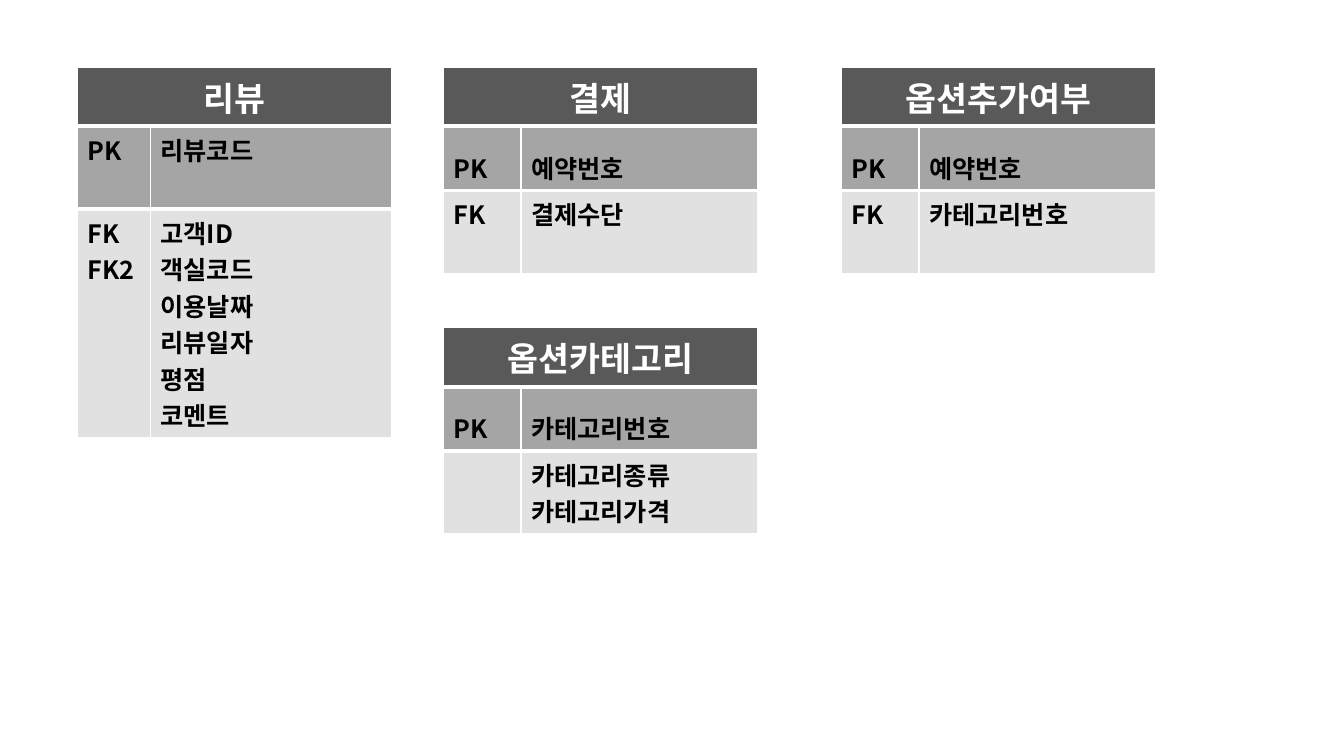
from lxml import etree
from pptx import Presentation
from pptx.dml.color import RGBColor
from pptx.enum import text
from pptx.oxml import ns
from pptx.util import Cm, Pt

FONT = "Noto Sans CJK KR"
WHITE = RGBColor(0xFF, 0xFF, 0xFF)
BLACK = RGBColor(0, 0, 0)
DARK = RGBColor(0x59, 0x59, 0x59)
MID = RGBColor(0xA5, 0xA5, 0xA5)
LIGHT = RGBColor(0xE1, 0xE1, 0xE1)

WIDTH = 7.9
HEADER_HEIGHT = 1.47
ENTITIES = [
    dict(left=1.96, top=1.7, name="리뷰", key_width=1.83, heights=(2.1, 5.77), key_spacing=1,
         rows=[("PK", "리뷰코드"),
               ("FK\nFK2", "고객ID\n객실코드\n이용날짜\n리뷰일자\n평점\n코멘트")]),
    dict(left=11.18, top=1.7, name="결제",
         rows=[("PK", "예약번호"), ("FK", "결제수단")]),
    dict(left=21.21, top=1.7, name="옵션추가여부",
         rows=[("PK", "예약번호"), ("FK", "카테고리번호")]),
    dict(left=11.18, top=8.26, name="옵션카테고리",
         rows=[("PK", "카테고리번호"), ("", "카테고리종류\n카테고리가격")]),
]


def add_borders(cell, top, bottom):
    tc_pr = cell._tc.get_or_add_tcPr()
    for side, width in (("L", 1), ("R", 1), ("T", top), ("B", bottom)):
        ln = etree.SubElement(tc_pr, ns.qn("a:ln" + side), w=str(Pt(width)))
        fill = etree.SubElement(ln, ns.qn("a:solidFill"))
        etree.SubElement(fill, ns.qn("a:srgbClr"), val=str(WHITE))


def format_paragraph(p, size, color, align, spacing):
    p.alignment = align
    p.line_spacing = spacing
    p.font.size = Pt(size)
    p.font.bold = True
    p.font.color.rgb = color
    p.font.name = FONT
    latin = p._p.pPr.find(".//" + ns.qn("a:latin"))
    latin.addnext(latin.makeelement(ns.qn("a:ea"), typeface=FONT))


def fill_cell(cell, content, fill, size=18, color=BLACK, align=text.PP_ALIGN.LEFT,
              spacing=1, top=1, bottom=1):
    add_borders(cell, top, bottom)
    cell.fill.solid()
    cell.fill.fore_color.rgb = fill
    cell.text = content
    for p in cell.text_frame.paragraphs:
        format_paragraph(p, size, color, align, spacing)


def add_grid(slide, left, top, widths, heights):
    frame = slide.shapes.add_table(len(heights), len(widths), Cm(left), Cm(top),
                                   Cm(sum(widths)), Cm(sum(heights)))
    table = frame.table
    table.first_row = table.horz_banding = False
    for column, width in zip(table.columns, widths):
        column.width = Cm(width)
    for row, height in zip(table.rows, heights):
        row.height = Cm(height)
    return table


def add_entity(slide, left, top, name, rows, key_width=1.95, heights=(1.55, 2.08),
               key_spacing=1.5):
    body = add_grid(slide, left, top + HEADER_HEIGHT, (key_width, WIDTH - key_width), heights)
    for column in range(2):
        fill_cell(body.cell(0, column), rows[0][column], MID, spacing=key_spacing, bottom=3)
        fill_cell(body.cell(1, column), rows[1][column], LIGHT, top=3)
    header = add_grid(slide, left, top, (WIDTH,), (HEADER_HEIGHT,))
    fill_cell(header.cell(0, 0), name, DARK, size=24, color=WHITE,
              align=text.PP_ALIGN.CENTER, bottom=3)


def main():
    prs = Presentation()
    prs.slide_width, prs.slide_height = Cm(33.87), Cm(19.05)
    slide = prs.slides.add_slide(prs.slide_layouts[6])
    for entity in ENTITIES:
        add_entity(slide, **entity)
    prs.save("out.pptx")


if __name__ == "__main__":
    main()
